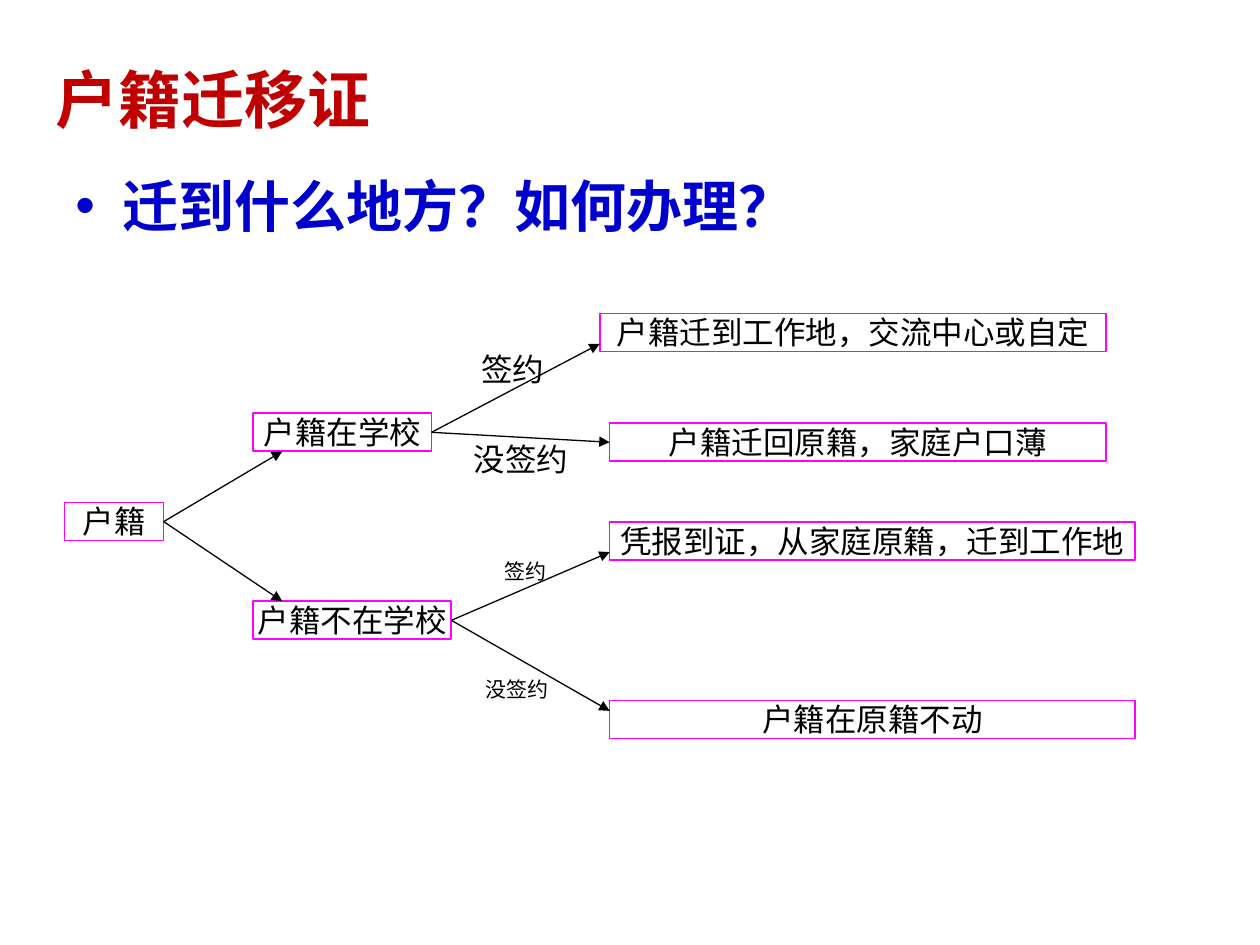
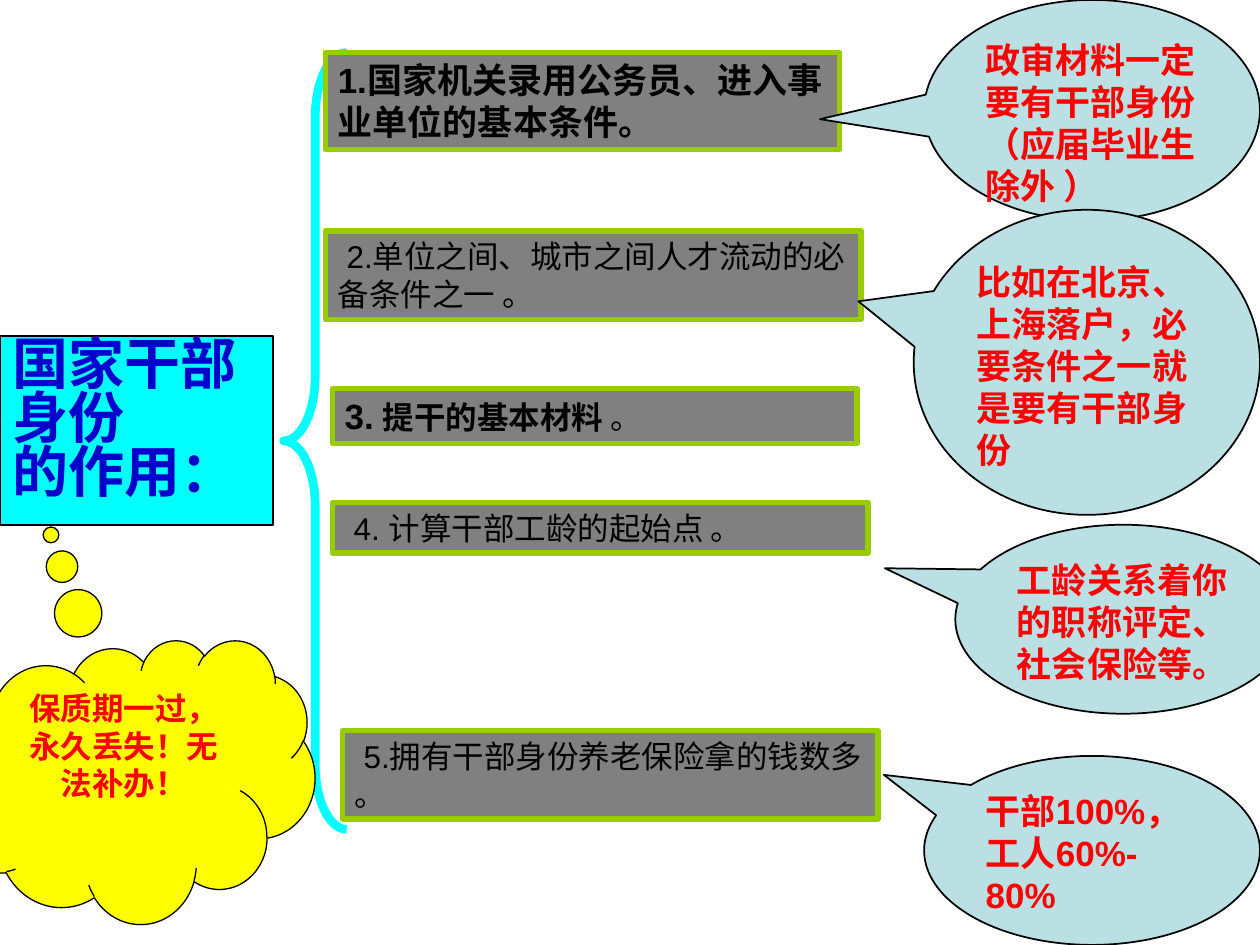
import pptx
import pptx.dml.color
import pptx.enum.shapes
import pptx.enum.text
import pptx.oxml.ns
import pptx.util
from lxml import etree

Cm = pptx.util.Cm
Pt = pptx.util.Pt
SHAPE = pptx.enum.shapes.MSO_SHAPE
ANCHOR = pptx.enum.text.MSO_ANCHOR
ALIGN = pptx.enum.text.PP_ALIGN
AUTO_SIZE = pptx.enum.text.MSO_AUTO_SIZE

FONT = "Arial"
CLOUD_FONT = "Noto Sans CJK SC"
BLACK, RED, DARK_RED, BLUE = "000000", "FF0000", "C00000", "0000CC"
MAGENTA, CYAN, YELLOW = "FF00FF", "00FFFF", "FFFF00"
GREY, GREEN, PALE_BLUE = "808080", "99CC00", "BBE0E3"

# Slide 1: lengths in centimetres
TITLE = "户籍迁移证"
QUESTION = "迁到什么地方？如何办理？"
BULLET_INDENT = 0.95
NODE_HEIGHT = 0.77
NODES = {  # name: (text, left, top, width)
    "root": ("户籍", 1.3, 10.13, 2.0),
    "at school": ("户籍在学校", 5.1, 8.33, 3.6),
    "elsewhere": ("户籍不在学校", 5.1, 12.12, 4.0),
    "back home": ("户籍迁回原籍，家庭户口薄", 12.29, 8.53, 10.01),
    "workplace": ("户籍迁到工作地，交流中心或自定", 12.09, 6.32, 10.21),
    "home to work": ("凭报到证，从家庭原籍，迁到工作地", 12.29, 10.52, 10.59),
    "stay": ("户籍在原籍不动", 12.29, 14.12, 10.59),
}
ARROWS = [  # source, target, end point inside the target (None: middle of left side)
    ("root", "at school", (0.59, NODE_HEIGHT)),
    ("root", "elsewhere", (0.59, 0)),
    ("at school", "workplace", (0, 0.61)),
    ("at school", "back home", None),
    ("elsewhere", "home to work", (0, 0.61)),
    ("elsewhere", "stay", (0, 0.21)),
]
BRANCH_LABELS = [  # text, size, box
    ("签约", 18, (9.45, 6.93, 1.78, 1.02)),
    ("没签约", 18, (9.3, 8.74, 2.41, 1.02)),
    ("签约", 12, (9.93, 11.13, 1.35, 0.76)),
    ("没签约", 12, (9.53, 13.51, 1.78, 0.76)),
]

# Slide 2
ROLE_HEADING = "国家干部\n身份\n的作用："
ROLES = [  # runs (text, size, bold), box, first-line indent
    ([("1.国家机关录用公务员、进入事业单位的基本条件。", 20, True)],
     (6.56, 1.06, 10.37, 1.96), 0),
    ([("2.单位之间、城市之间人才流动的必备条件之一 。", 18, False)],
     (6.56, 4.66, 10.8, 1.78), 0.18),
    ([("3.", 20, True), (" ", 18, False), ("提干的基本材料", 18, True), (" 。", 18, False)],
     (6.7, 7.83, 10.58, 1.11), 0),
    ([("4. 计算干部工龄的起始点 。", 18, False)],
     (6.7, 10.13, 10.8, 1.02), 0.18),
    ([("5.拥有干部身份养老保险拿的钱数多 。", 18, False)],
     (6.9, 14.73, 10.8, 1.78), 0.18),
]
CALLOUTS = [  # text, box, tip
    ("政审材料一定要有干部身份（应届毕业生除外 ）", (18.63, 0, 6.77, 4.45), (-0.81, 0.04)),
    ("比如在北京、上海落户，必要条件之一就是要有干部身份",
     (18.42, 4.23, 6.98, 6.15), (-0.66, -0.2)),
    ("工龄关系着你的职称评定、社会保险等。", (19.26, 10.58, 6.77, 3.81), (-0.71, -0.27)),
    ("干部100%，工人60%-80%", (18.63, 15.24, 6.77, 3.81), (-0.62, -0.4)),
]
WARNING = "保质期一过，永久丢失！无法补办！"


def rgb(color):
    return pptx.dml.color.RGBColor.from_string(color)


def style_font(font, size, color, bold=False, name=FONT):
    font.name, font.size, font.bold = name, Pt(size), bold
    font.color.rgb = rgb(color)


def write(shape, text, size, color, bold=False, align=ALIGN.LEFT, name=FONT):
    frame = shape.text_frame
    frame.word_wrap = True
    frame.vertical_anchor = ANCHOR.TOP
    frame.text = text
    for paragraph in frame.paragraphs:
        paragraph.alignment = align
        for run in paragraph.runs:
            style_font(run.font, size, color, bold, name)
    return frame


def add_text(slide, box, text, size, color, bold=False):
    shape = slide.shapes.add_textbox(*map(Cm, box))
    return write(shape, text, size, color, bold)


def add_shape(slide, kind, box, fill, line, width, adjustments=()):
    shape = slide.shapes.add_shape(kind, *map(Cm, box))
    shape.shadow.inherit = False
    if fill:
        shape.fill.solid()
        shape.fill.fore_color.rgb = rgb(fill)
    else:
        shape.fill.background()
    shape.line.color.rgb = rgb(line)
    shape.line.width = Pt(width)
    for index, value in enumerate(adjustments):
        shape.adjustments[index] = value
    return shape


def add_child(parent, tag, **attributes):
    return etree.SubElement(parent, pptx.oxml.ns.qn(tag), **attributes)


def add_bullet(paragraph, color):
    properties = paragraph._p.get_or_add_pPr()
    properties.set("marL", str(Cm(BULLET_INDENT)))
    properties.set("indent", str(-Cm(BULLET_INDENT)))
    add_child(add_child(properties, "a:buClr"), "a:srgbClr", val=color)
    add_child(properties, "a:buFont", typeface=FONT)
    add_child(properties, "a:buChar", char="•")


def add_arrow(slide, source, target, offset):
    end = (target.left, target.top)
    if offset:
        end = (target.left + Cm(offset[0]), target.top + Cm(offset[1]))
    arrow = slide.shapes.add_connector(
        pptx.enum.shapes.MSO_CONNECTOR.STRAIGHT, 0, 0, *end)
    arrow.begin_connect(source, 3)
    if not offset:
        arrow.end_connect(target, 1)
    arrow.line.color.rgb = rgb(BLACK)
    arrow.line.width = Pt(0.75)
    add_child(arrow.line._get_or_add_ln(), "a:tailEnd", type="triangle")
    add_child(arrow._element.spPr, "a:effectLst")


def build_transfer_slide(slide):
    title = add_text(slide, (0.86, 0.91, 22.86, 2.16), TITLE, 36, DARK_RED, True)
    title.vertical_anchor = ANCHOR.MIDDLE
    question = add_text(slide, (1.27, 3.33, 22.86, 1.88), QUESTION, 32, BLUE, True)
    add_bullet(question.paragraphs[0], BLUE)

    nodes = {}
    for name, (text, left, top, width) in NODES.items():
        node = add_shape(slide, SHAPE.RECTANGLE, (left, top, width, NODE_HEIGHT),
                         None, MAGENTA, 1)
        frame = write(node, text, 18, BLACK, align=ALIGN.CENTER)
        frame.margin_left = frame.margin_right = frame.margin_top = frame.margin_bottom = 0
        nodes[name] = node
    for source, target, offset in ARROWS:
        add_arrow(slide, nodes[source], nodes[target], offset)
    for text, size, box in BRANCH_LABELS:
        add_text(slide, box, text, size, BLACK).word_wrap = False


def build_roles_slide(slide):
    heading = add_shape(slide, SHAPE.RECTANGLE, (0, 6.77, 5.5, 3.81), CYAN, BLACK, 1)
    for paragraph in write(heading, ROLE_HEADING, 32, BLUE, True).paragraphs:
        paragraph.line_spacing = 0.8
    add_shape(slide, SHAPE.LEFT_BRACE, (5.72, 1.06, 1.27, 15.66), None, CYAN, 5, (1.03, 0.5))

    for runs, box, indent in ROLES:
        role = add_shape(slide, SHAPE.RECTANGLE, box, GREY, GREEN, 3)
        frame = write(role, "", 18, BLACK)
        frame.auto_size = AUTO_SIZE.SHAPE_TO_FIT_TEXT
        paragraph = frame.paragraphs[0]
        paragraph._p.get_or_add_pPr().set("indent", str(Cm(indent)))
        for text, size, bold in runs:
            run = paragraph.add_run()
            run.text = text
            style_font(run.font, size, BLACK, bold)

    for text, box, tip in CALLOUTS:
        callout = add_shape(slide, SHAPE.OVAL_CALLOUT, box, PALE_BLUE, BLACK, 1, tip)
        write(callout, text, 20, RED, True)
    cloud = add_shape(slide, SHAPE.CLOUD_CALLOUT, (-0.84, 12.9, 7.19, 5.72),
                      YELLOW, BLACK, 0.75, (-0.24, -0.87))
    write(cloud, WARNING, 18, RED, True, ALIGN.CENTER, CLOUD_FONT)


def main():
    presentation = pptx.Presentation()
    presentation.slide_width, presentation.slide_height = Cm(25.4), Cm(19.05)
    for build in (build_transfer_slide, build_roles_slide):
        build(presentation.slides.add_slide(presentation.slide_layouts[6]))
    presentation.save("out.pptx")


if __name__ == "__main__":
    main()
